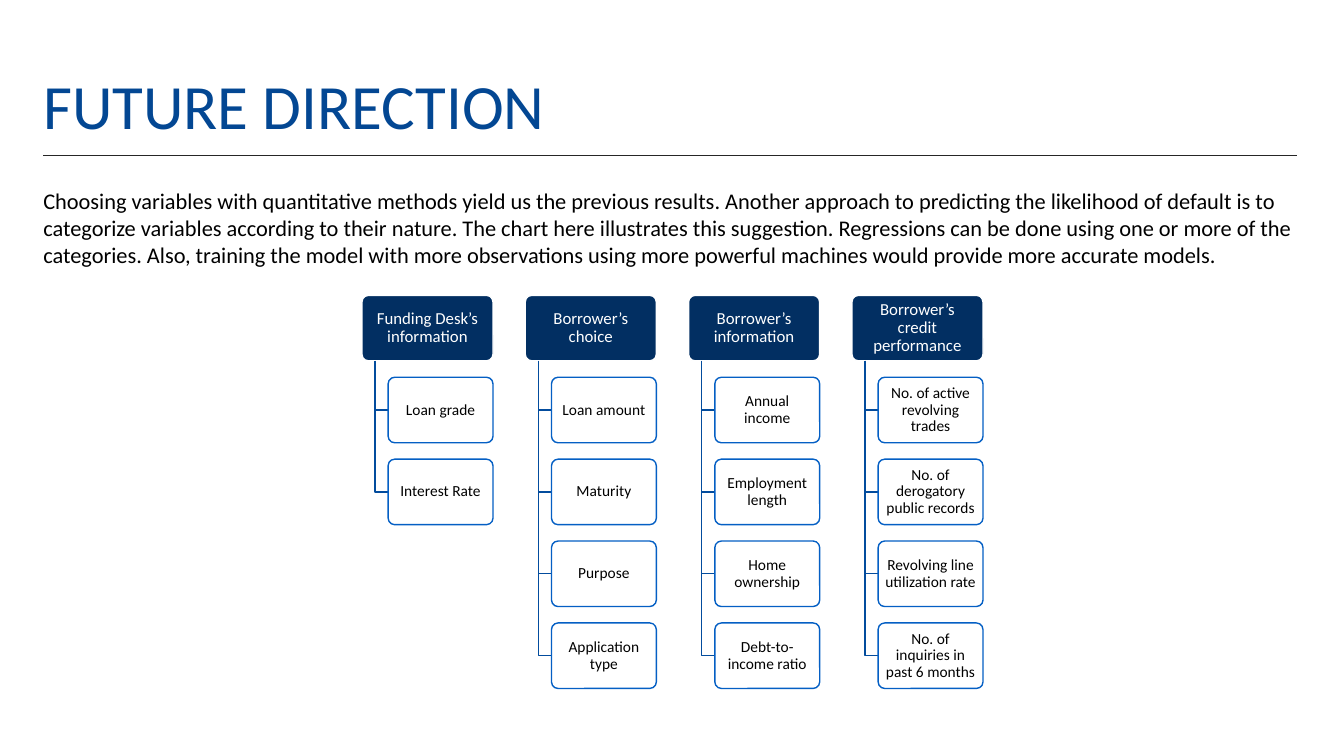
from lxml import etree
from pptx import Presentation
from pptx.dml.color import RGBColor
from pptx.enum.shapes import MSO_CONNECTOR, MSO_SHAPE
from pptx.enum.text import MSO_ANCHOR, MSO_AUTO_SIZE, PP_ALIGN
from pptx.oxml.ns import qn
from pptx.util import Inches, Pt

ROUNDED = MSO_SHAPE.ROUNDED_RECTANGLE
STRAIGHT = MSO_CONNECTOR.STRAIGHT
TOP, MIDDLE, BOTTOM = MSO_ANCHOR.TOP, MSO_ANCHOR.MIDDLE, MSO_ANCHOR.BOTTOM
LEFT, CENTER = PP_ALIGN.LEFT, PP_ALIGN.CENTER

MARGIN, CONTENT_WIDTH = 0.43, 12.43
CHART_LEFT, CHART_TOP = 3.59, 2.93
BOX_WIDTH, BOX_HEIGHT = 1.3, 0.65
COLUMN_STEP, ROW_STEP = 1.62, BOX_HEIGHT * 1.25
TRUNK_SHIFT, ITEM_SHIFT = BOX_WIDTH * 0.1, BOX_WIDTH * 0.2


def color(value):
    return RGBColor.from_string(value)


def write(box, text, size, ink, align=LEFT, anchor=TOP, side=0, edge=0.05, spacing=1, before=0):
    frame = box.text_frame
    frame.word_wrap = True
    frame.auto_size = MSO_AUTO_SIZE.NONE
    frame.vertical_anchor = anchor
    frame.margin_left = frame.margin_right = Inches(side)
    frame.margin_top = frame.margin_bottom = Inches(edge)
    para = frame.paragraphs[0]
    para.alignment = align
    para.line_spacing = spacing
    para.space_before = Pt(before)
    span = para.add_run()
    span.text = text
    span.font.name = "Calibri"
    span.font.size = Pt(size)
    span.font.color.rgb = color(ink)
    return para


deck = Presentation()
deck.slide_width, deck.slide_height = Inches(13.33), Inches(7.5)
page = deck.slides.add_slide(deck.slide_layouts[1])

title, body = page.placeholders
for holder, top, height in ((title, 0.37, 1.1), (body, 1.81, 1.01)):
    holder.left, holder.top = Inches(MARGIN), Inches(top)
    holder.width, holder.height = Inches(CONTENT_WIDTH), Inches(height)

write(title, "FUTURE DIRECTION", 45, "034793", anchor=BOTTOM, spacing=0.9)
intro = write(
    body,
    "Choosing variables with quantitative methods yield us the previous results. "
    "Another approach to predicting the likelihood of default is to categorize variables "
    "according to their nature. The chart here illustrates this suggestion. "
    "Regressions can be done using one or more of the categories. Also, training the model "
    "with more observations using more powerful machines would provide more accurate models.",
    16, "000000", before=10,
)
intro_format = intro._p.get_or_add_pPr()
intro_format.set("marL", "0")
intro_format.set("indent", "0")
etree.SubElement(intro_format, qn("a:buNone"))

rule = page.shapes.add_connector(
    STRAIGHT, Inches(MARGIN), Inches(1.54), Inches(MARGIN + CONTENT_WIDTH), Inches(1.54)
)
rule.line.color.rgb = color("262626")
rule.line.width = Pt(1)
etree.SubElement(rule._element.spPr, qn("a:effectLst"))

categories = {
    "Funding Desk’s information": ["Loan grade", "Interest Rate"],
    "Borrower’s choice": ["Loan amount", "Maturity", "Purpose", "Application type"],
    "Borrower’s information": [
        "Annual income", "Employment length", "Home ownership", "Debt-to-income ratio",
    ],
    "Borrower’s credit performance": [
        "No. of active revolving trades", "No. of derogatory public records",
        "Revolving line utilization rate", "No. of inquiries in past 6 months",
    ],
}

for column, (category, variables) in enumerate(categories.items()):
    left = CHART_LEFT + column * COLUMN_STEP
    trunk = Inches(left + TRUNK_SHIFT)
    for row, label in enumerate([category, *variables]):
        top = CHART_TOP + row * ROW_STEP
        shift = ITEM_SHIFT if row else 0
        if row:
            middle = Inches(top + BOX_HEIGHT / 2)
            builder = page.shapes.build_freeform(trunk, Inches(CHART_TOP + BOX_HEIGHT))
            builder.add_line_segments(
                [(trunk, middle), (Inches(left + shift), middle)], close=False
            )
            branch = builder.convert_to_shape()
            branch.fill.background()
            branch.line.color.rgb = color("034C9D")
            branch.line.width = Pt(1)
            branch.shadow.inherit = False
        box = page.shapes.add_shape(
            ROUNDED, Inches(left + shift), Inches(top),
            Inches(BOX_WIDTH - shift), Inches(BOX_HEIGHT),
        )
        box.adjustments[0] = 0.1
        box.shadow.inherit = False
        box.fill.solid()
        box.fill.fore_color.rgb = color("FFFFFF" if row else "022F62")
        box.line.color.rgb = color("045FC4" if row else "FFFFFF")
        box.line.width = Pt(1)
        if row:
            fill = box._element.spPr.find(qn("a:solidFill"))
            etree.SubElement(fill[0], qn("a:alpha"), val="90000")
        write(
            box, label, 11 if row else 12, "000000" if row else "FFFFFF",
            align=CENTER, anchor=MIDDLE, side=0.04 if row else 0.05, edge=0.04, spacing=0.9,
        )

deck.save("out.pptx")
